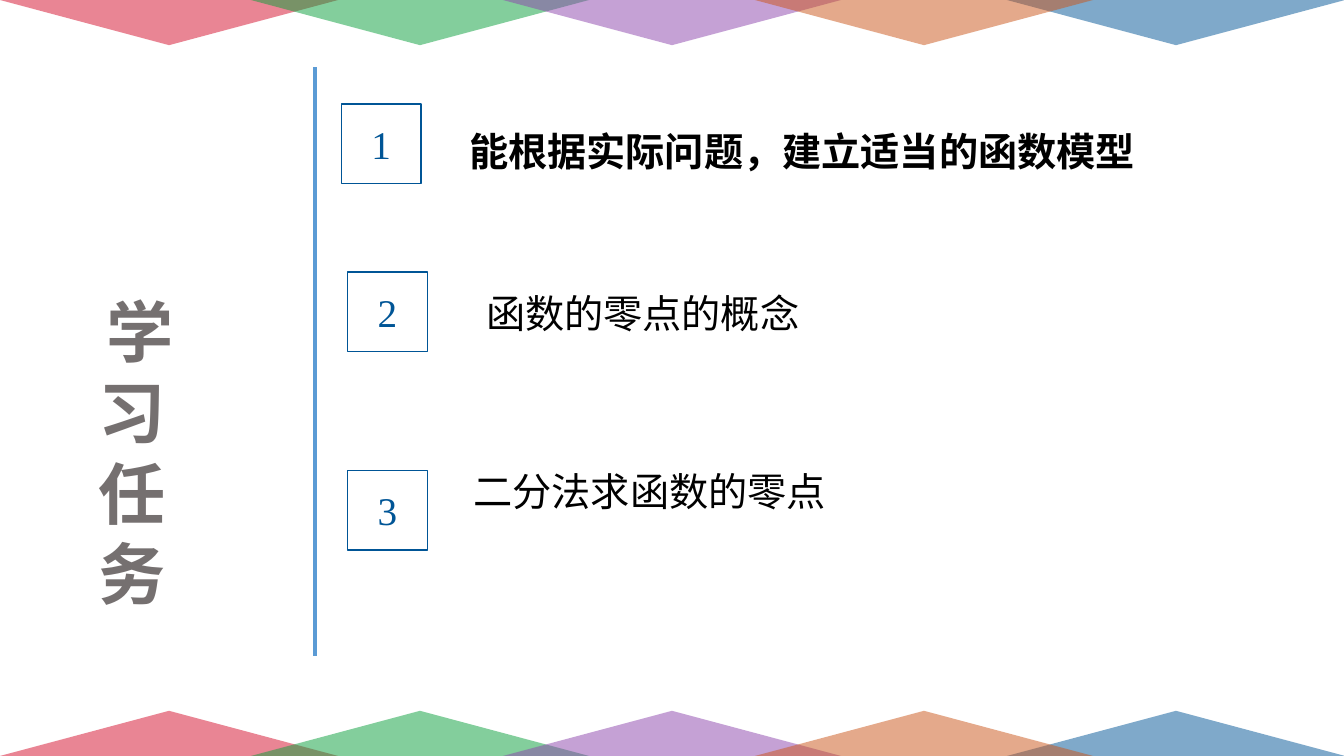
from lxml import etree
from pptx import Presentation, util as u
from pptx.dml.color import RGBColor
from pptx.enum import shapes, text
from pptx.oxml import ns

PX = 9525  # EMU per px, 96 px to the inch
RED = RGBColor(0xD5, 0x0D, 0x2A)
GREEN = RGBColor(0x09, 0x9F, 0x3B)
PURPLE = RGBColor(0x8D, 0x44, 0xAD)
ORANGE = RGBColor(0xCB, 0x55, 0x18)
BLUE = RGBColor(0x00, 0x55, 0x96)
RULE_BLUE = RGBColor(0x5B, 0x9B, 0xD5)
GREY = RGBColor(0x75, 0x70, 0x70)
BLACK = RGBColor(0, 0, 0)


def px(*lengths):
    return [length * PX for length in lengths]


def write(shape, words, font_name, size, color, align, bold=False):
    paragraph = shape.text_frame.paragraphs[0]
    paragraph.text = words
    paragraph.alignment = align
    font = paragraph.font
    font.name, font.size, font.bold = font_name, u.Pt(size), bold
    font.color.rgb = color
    return paragraph


presentation = Presentation()
presentation.slide_width, presentation.slide_height = px(1280, 720)
slide = presentation.slides.add_slide(presentation.slide_layouts[6])

# Translucent triangle borders, bottom then top; blue lies beneath orange
border = [(0, RED), (4, BLUE), (1, GREEN), (2, PURPLE), (3, ORANGE)]
for top, rotation in [(677, 0), (0, 180)]:
    for slot, color in border:
        triangle = slide.shapes.add_shape(
            shapes.MSO_SHAPE.ISOSCELES_TRIANGLE, *px(slot * 959 // 4, top, 322, 43))
        triangle.rotation = rotation
        triangle.shadow.inherit = False
        triangle.line.fill.background()
        triangle.fill.solid()
        triangle.fill.fore_color.rgb = color
        rgb = triangle.fill._xPr.find(".//" + ns.qn("a:srgbClr"))
        etree.SubElement(rgb, ns.qn("a:alpha"), val="50000")

# Title, one character to a line
title = slide.shapes.add_textbox(*px(60, 272, 132, 320))
title.text_frame.word_wrap = True
title.text_frame.auto_size = text.MSO_AUTO_SIZE.SHAPE_TO_FIT_TEXT
write(title, " 学习任务", "Calibri", 48, GREY, text.PP_ALIGN.CENTER, bold=True)

# Vertical rule
rule = slide.shapes.add_connector(shapes.MSO_CONNECTOR.STRAIGHT, *px(300, 64, 300, 625))
rule.line.color.rgb = RULE_BLUE
rule.line.width = u.Pt(3)
etree.SubElement(rule._element.spPr, ns.qn("a:effectLst"))

# Number badges
for number, (left, top) in enumerate([(325, 99), (331, 259), (331, 448)], 1):
    badge = slide.shapes.add_shape(shapes.MSO_SHAPE.RECTANGLE, *px(left, top, 76, 76))
    badge.shadow.inherit = False
    badge.fill.background()
    badge.line.color.rgb = BLUE
    badge.line.width = u.Pt(1)
    badge.text_frame.vertical_anchor = text.MSO_ANCHOR.MIDDLE
    write(badge, str(number), "Times New Roman", 28, BLUE, text.PP_ALIGN.CENTER)

# Tasks; the current one is bold
tasks = [
    ("能根据实际问题，建立适当的函数模型", (437, 94, 658, 78), (10, 5), "Calibri", True),
    ("函数的零点的概念", (451, 247, 1082, 81), (12, 6), "Times New Roman", False),
    ("二分法求函数的零点", (439, 417, 1082, 81), (12, 6), "Times New Roman", False),
]
for words, place, (side, end), font_name, current in tasks:
    task = slide.shapes.add_textbox(*px(*place))
    frame = task.text_frame
    frame.word_wrap = not current
    frame.auto_size = text.MSO_AUTO_SIZE.SHAPE_TO_FIT_TEXT
    frame.margin_left, frame.margin_right = px(side, side)
    frame.margin_top, frame.margin_bottom = px(end, end)
    paragraph = write(task, words, font_name, 28, BLACK, text.PP_ALIGN.JUSTIFY, current)
    paragraph.line_spacing = 1.5

presentation.save("out.pptx")
